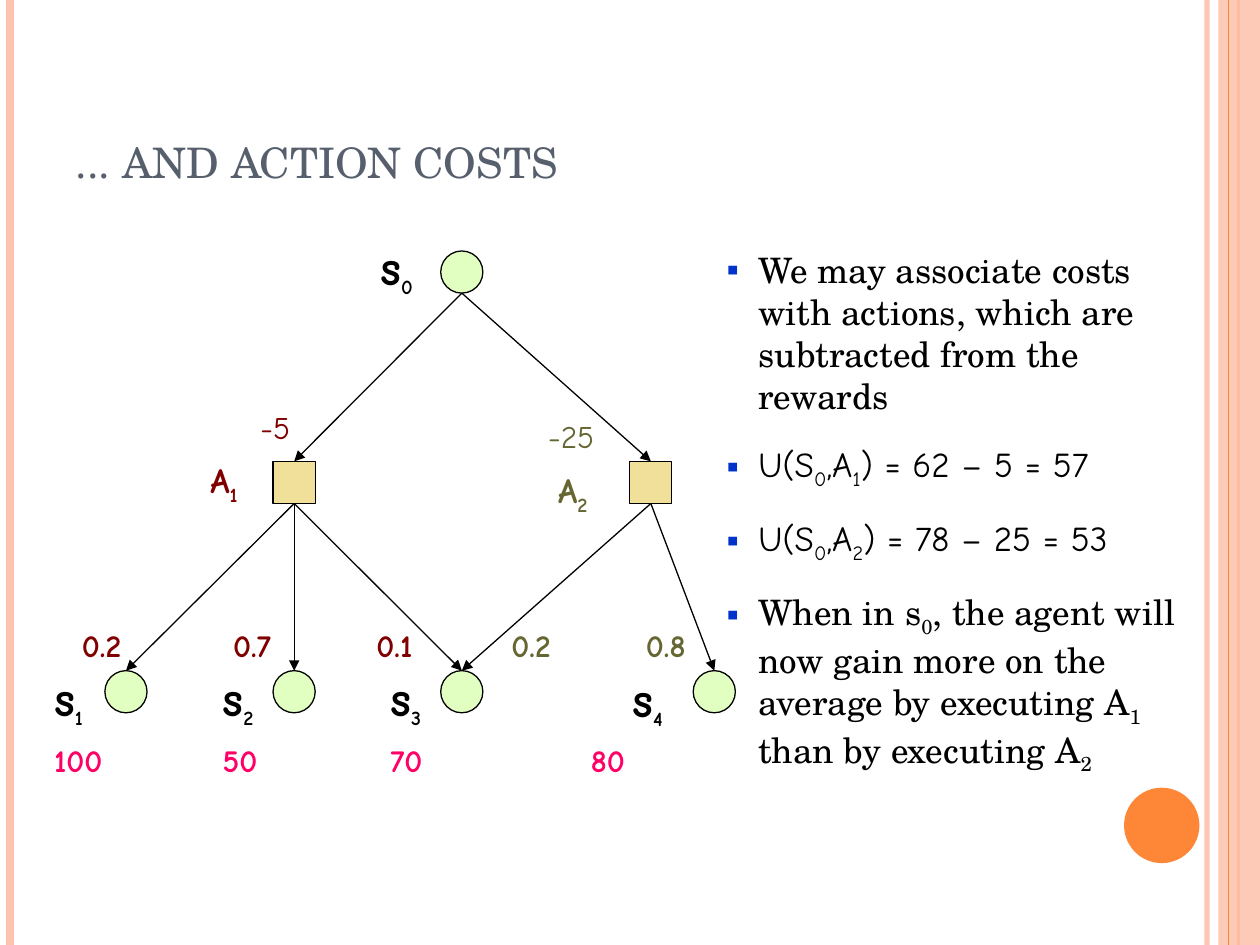
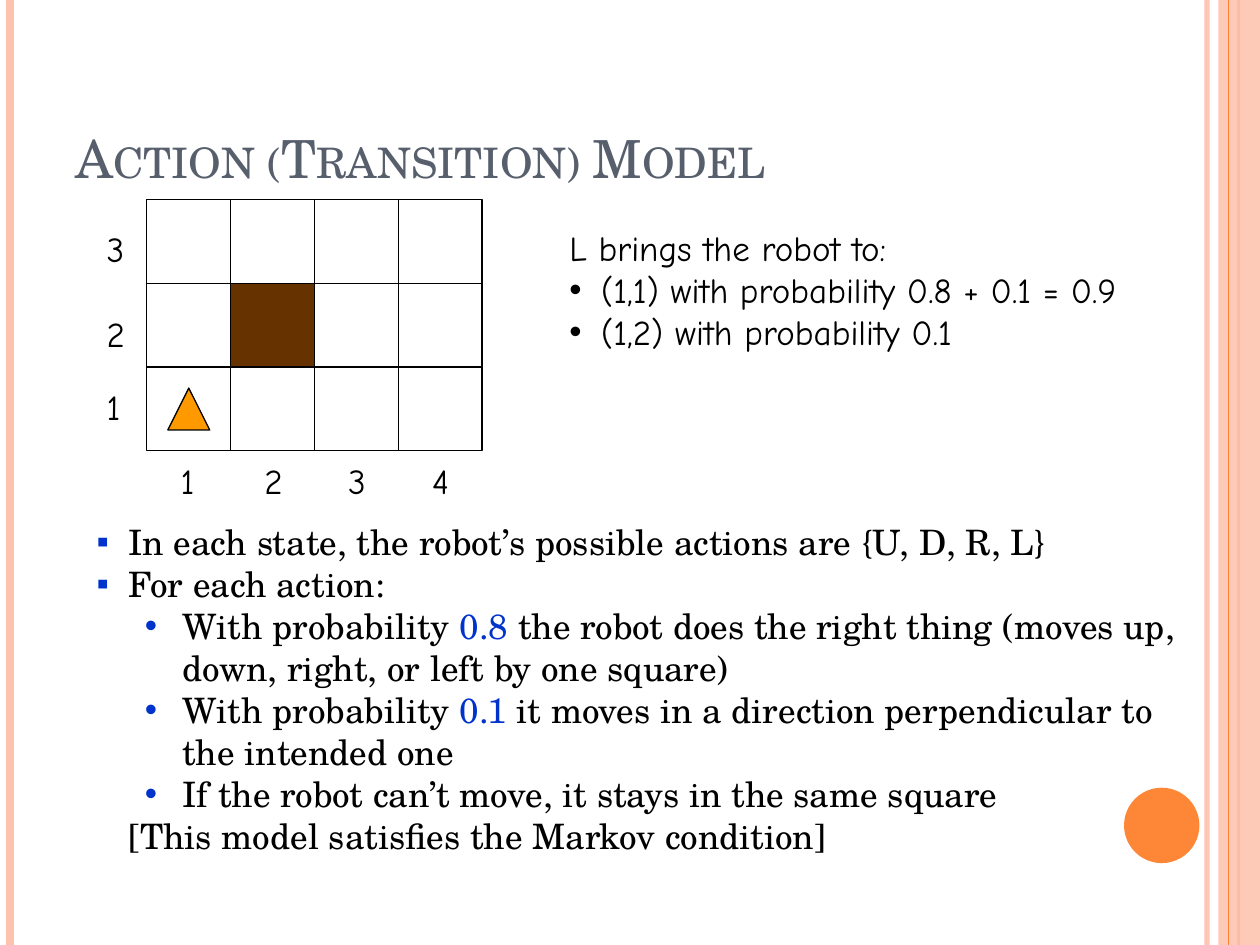
from lxml.etree import SubElement
from pptx import Presentation
from pptx.dml.color import RGBColor
from pptx.enum.shapes import MSO_CONNECTOR, MSO_SHAPE
from pptx.enum.text import MSO_ANCHOR, PP_ALIGN
from pptx.oxml.ns import qn
from pptx.util import Cm, Pt

SERIF, COMIC = "TeX Gyre Schola", "Comic Neue"
BLACK, BLUE, SLATE = "000000", "0033CC", "575F6D"
ORANGE, PEACH = "FE8637", "FEC3AE"
RED, OLIVE, PINK = "800000", "666633", "FF0066"
GREEN, SAND, BROWN, AMBER = "E0FFC1", "F0E09A", "663300", "FF9900"


def paint(code):
    return RGBColor.from_string(code)


def fade(item, part):
    """Set the opacity of the first colour of a shape or line, in percent."""
    tint = item.element.find(".//" + qn("a:srgbClr"))
    SubElement(tint, qn("a:alpha"), val=str(part * 1000))


def pieces(text):
    """Yield (text, lowered, marked): _x lowers x, |x| marks x."""
    for spot, part in enumerate(text.split("|")):
        first, *rest = part.split("_")
        yield first, False, spot % 2
        for bit in rest:
            yield bit[0], True, spot % 2
            yield bit[1:], False, spot % 2


class Deck:
    def __init__(self):
        self.show = Presentation()
        self.show.slide_width, self.show.slide_height = Cm(25.4), Cm(19.05)

    def page(self, title):
        self.slide = self.show.slides.add_slide(self.show.slide_layouts[5])
        self.frame()
        head = self.slide.shapes.title
        head.left, head.top = Cm(1.27), Cm(0.76)
        head.width, head.height = Cm(20.75), Cm(3.18)
        box = head.text_frame
        box.text = title
        box.vertical_anchor = MSO_ANCHOR.BOTTOM
        box.paragraphs[0].alignment = PP_ALIGN.LEFT
        self.style(box.paragraphs[0].runs[0].font, 30, SERIF, SLATE)
        head.element.find(".//" + qn("a:rPr")).set("cap", "small")

    def frame(self):
        """Draw the side bands and the disc."""
        fade(self.rule(24.33, PEACH, 3), 93)
        self.rule(0.2, PEACH, 4.5)
        self.rule(24.97, ORANGE, 1.5)
        fade(self.shape(MSO_SHAPE.RECTANGLE, 24.56, 0, 0.84, 19.05, PEACH, None), 87)
        self.rule(24.77, ORANGE, 0.75)
        self.shape(MSO_SHAPE.OVAL, 22.66, 15.88, 1.52, 1.52, ORANGE, None)

    def rule(self, x, color, width):
        return self.line(x, 0, x, 19.05, color, width)

    def style(self, font, size, face, color, bold=False):
        font.size, font.name, font.bold = Pt(size), face, bold
        font.color.rgb = paint(color)

    def shape(self, kind, x, y, w, h, fill=None, edge=BLACK):
        item = self.slide.shapes.add_shape(kind, Cm(x), Cm(y), Cm(w), Cm(h))
        item.shadow.inherit = False
        if fill:
            item.fill.solid()
            item.fill.fore_color.rgb = paint(fill)
        else:
            item.fill.background()
        if edge:
            item.line.color.rgb = paint(edge)
            item.line.width = Pt(0.75)
        else:
            item.line.fill.background()
        return item

    def line(self, x1, y1, x2, y2, color=BLACK, width=0.75, arrow=False):
        item = self.slide.shapes.add_connector(
            MSO_CONNECTOR.STRAIGHT, Cm(x1), Cm(y1), Cm(x2), Cm(y2))
        item.line.color.rgb = paint(color)
        item.line.width = Pt(width)
        stroke = item.element.find(".//" + qn("a:ln"))
        if arrow:
            SubElement(stroke, qn("a:tailEnd"), type="triangle")
        SubElement(stroke.getparent(), qn("a:effectLst"))
        return item

    def box(self, x, y, w, h, wrap=False):
        item = self.slide.shapes.add_textbox(Cm(x), Cm(y), Cm(w), Cm(h))
        item.text_frame.word_wrap = wrap
        return item.text_frame

    def fill(self, para, text, size, face, color=BLACK, bold=False, low=None):
        """Fill a paragraph with runs; low is the size of lowered text."""
        for part, sub, marked in pieces(text):
            if part:
                run = para.add_run()
                run.text = part
                self.style(run.font, low if sub and low else size, face,
                           BLUE if marked else color, bold)
                if sub:
                    run._r.get_or_add_rPr().set("baseline", "-25000")

    def label(self, x, y, w, h, text, size=18, color=BLACK, bold=True, low=None):
        para = self.box(x, y, w, h).paragraphs[0]
        self.fill(para, text, size, COMIC, color, bold, low)

    def points(self, box, rows, gap=0):
        """Each row: text, font, bullet, bullet colour, level."""
        for spot, (text, face, mark, color, level) in enumerate(rows):
            para = box.add_paragraph() if spot else box.paragraphs[0]
            para.level = level
            para.space_before, para.space_after = Pt(0), Pt(gap)
            self.fill(para, text, 20, face)
            left, hang = (1.73, 0.76) if level else (0.64, 0.64)
            props = para._p.get_or_add_pPr()
            props.set("marL", str(Cm(left)))
            props.set("indent", str(-Cm(hang) if mark else 0))
            if mark:
                tint = SubElement(props, qn("a:buClr"))
                SubElement(tint, qn("a:srgbClr"), val=color)
                SubElement(props, qn("a:buFont"), typeface="Arial")
                SubElement(props, qn("a:buChar"), char=mark)
            else:
                SubElement(props, qn("a:buNone"))


def costs(deck):
    deck.page("... and action costs")
    deck.points(deck.box(14.4, 4.88, 10.16, 10.34, True), [
        (text, face, "▪", BLUE, 0) for text, face in (
            ("We may associate costs with actions, which are subtracted "
             "from the rewards", SERIF),
            ("U(S_0,A_1) = 62 – 5 = 57", COMIC),
            ("U(S_0,A_2) = 78 – 25 = 53", COMIC),
            ("When in s_0, the agent will now gain more on the average by "
             "executing A_1 than by executing A_2", SERIF))], 15)

    # Nodes: centre, top, label place
    size = 0.85
    states = {"s_0": (9.31, 5.06, 7.42, 4.65), "s_1": (2.54, 13.52, 0.84, 13.34),
              "s_2": (5.93, 13.52, 4.24, 13.34), "s_3": (9.31, 13.52, 7.62, 13.34),
              "s_4": (14.4, 13.52, 12.5, 13.36)}
    acts = {"A_1": (5.93, 9.3, 3.99, 9.12, RED),
            "A_2": (13.12, 9.3, 11, 9.32, OLIVE)}
    for name, (x, y, left, top) in states.items():
        deck.shape(MSO_SHAPE.OVAL, x - size / 2, y, size, size, GREEN)
        deck.label(left, top, 1.27, 1.45, name, 28, low=20)
    for name, (x, y, left, top, color) in acts.items():
        deck.shape(MSO_SHAPE.RECTANGLE, x - size / 2, y, size, size, SAND)
        deck.label(left, top, 1.3, 1.09, name, 20, color)

    # Arrows
    nodes = {**states, **acts}
    for tail, tips in (("s_0", ("A_1", "A_2")), ("A_1", ("s_1", "s_2", "s_3")),
                       ("A_2", ("s_3", "s_4"))):
        for tip in tips:
            x, y = nodes[tail][:2]
            deck.line(x, y + size, *nodes[tip][:2], arrow=True)

    # Costs, odds and rewards
    deck.label(5, 8.1, 1.17, 1.02, "-5", color=RED, bold=False)
    deck.label(10.8, 8.28, 1.57, 1.02, "-25", color=OLIVE, bold=False)
    for x, text, color in ((1.4, "0.2", RED), (4.45, "0.7", RED), (7.34, "0.1", RED),
                           (10.06, "0.2", OLIVE), (12.77, "0.8", OLIVE)):
        deck.label(x, 12.5, 1.55, 1.02, text, color=color)
    for x, w, text in ((0.84, 1.68, "100"), (4.24, 1.3, "50"),
                       (7.62, 1.3, "70"), (11.66, 1.3, "80")):
        deck.label(x, 14.81, w, 1.02, text, color=PINK)


def model(deck):
    deck.page("Action (Transition) Model")

    # Grid with wall and robot
    x, y, cell, cols, rows = 2.96, 4.02, 1.69, 4, 3
    wide, high = cols * cell, rows * cell
    deck.shape(MSO_SHAPE.RECTANGLE, x, y, wide, high)
    for col in range(1, cols):
        deck.line(x + col * cell, y, x + col * cell, y + high)
    for row in range(1, rows):
        deck.line(x, y + row * cell, x + wide, y + row * cell)
    deck.shape(MSO_SHAPE.RECTANGLE, x + cell, y + cell, cell, cell, BROWN)
    deck.shape(MSO_SHAPE.ISOSCELES_TRIANGLE, x + cell / 4, y + 2.25 * cell,
               cell / 2, cell / 2, AMBER)
    for text, top in (("3", 4.47), ("2", 6.17), ("1", 7.65)):
        deck.label(1.9, top, 0.94, 1.09, text, 20, bold=False)
    for col in range(cols):
        deck.label(3.39 + col * cell, 9.14, 0.94, 1.09, str(col + 1), 20, bold=False)

    # Outcome of L
    moves = deck.box(11.23, 4.45, 12.67, 2.79)
    deck.points(moves, [
        ("L brings the robot to:", COMIC, None, BLACK, 0),
        ("(1,1) with probability 0.8 + 0.1 = 0.9", COMIC, "•", BLACK, 0),
        ("(1,2) with probability 0.1", COMIC, "•", BLACK, 0)])
    moves.paragraphs[0]._p.get_or_add_pPr().set("marL", "0")

    # Rules of motion
    deck.points(deck.box(1.7, 10.36, 22.86, 7.04, True), [
        (text, SERIF, mark, BLUE, level) for text, mark, level in (
            ("In each state, the robot’s possible actions are {U, D, R, L}", "▪", 0),
            ("For each action:", "▪", 0),
            ("With probability |0.8| the robot does the right thing (moves up, "
             "down, right, or left by one square)", "•", 1),
            ("With probability |0.1| it moves in a direction perpendicular to "
             "the intended one", "•", 1),
            ("If the robot can’t move, it stays in the same square", "•", 1),
            ("[This model satisfies the Markov condition]", None, 0))])


def main():
    deck = Deck()
    costs(deck)
    model(deck)
    deck.show.save("out.pptx")


if __name__ == "__main__":
    main()
